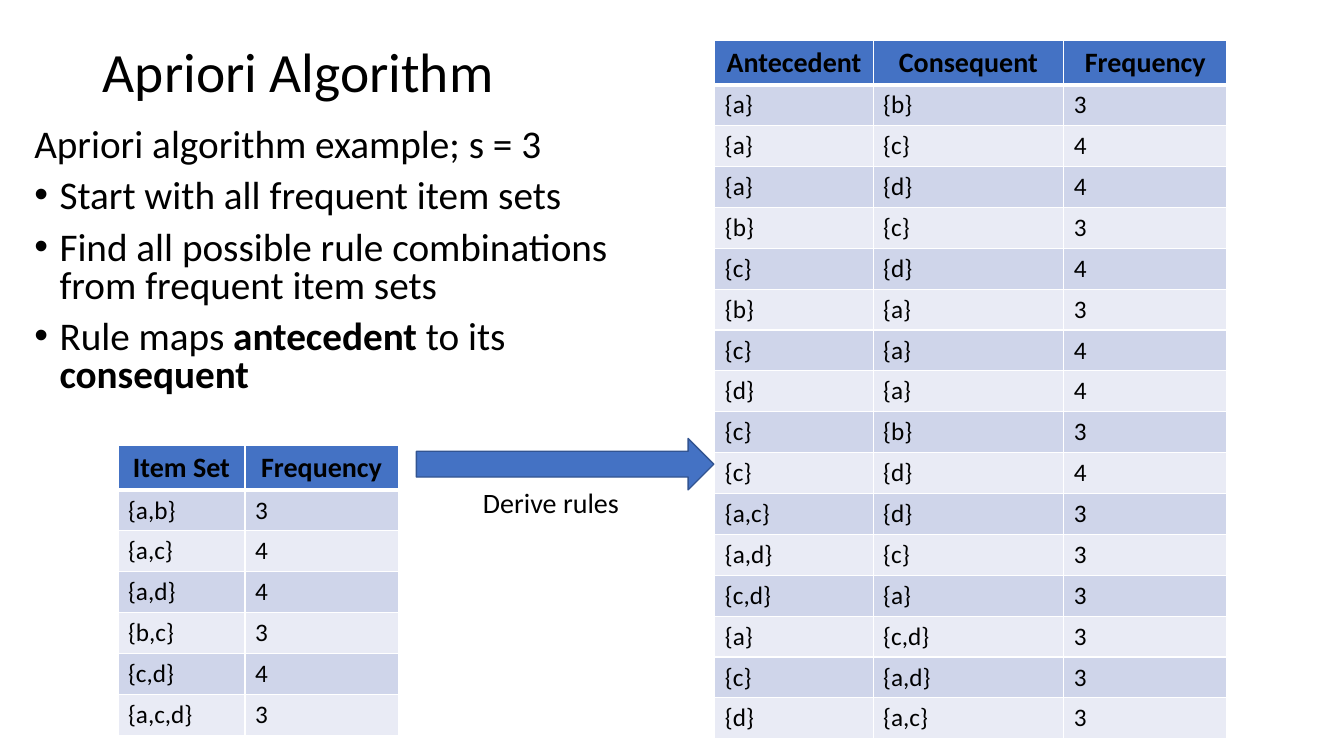
from lxml.etree import SubElement
from pptx import Presentation
from pptx.dml.color import RGBColor
from pptx.enum.shapes import MSO_SHAPE
from pptx.enum.text import MSO_ANCHOR, MSO_AUTO_SIZE, PP_ALIGN
from pptx.oxml.ns import qn
from pptx.util import Inches, Pt

COLORS = {
    "text": "000000",
    "accent": "4472C4",
    "outline": "325491",
    "odd_row": "CFD5EA",
    "even_row": "E9EBF5",
    "border": "FFFFFF",
}
FONT = "Calibri"
HEADER_HEIGHT, ROW_HEIGHT = 0.43, 0.4

BULLETS = [
    [("Start with all frequent item sets", False)],
    [("Find all possible rule combinations from frequent item sets", False)],
    [("Rule maps ", False), ("antecedent", True), (" to its ", False), ("consequent", True)],
]
ITEM_SETS = [
    ("Item Set", "Frequency"),
    ("{a,b}", "3"), ("{a,c}", "4"), ("{a,d}", "4"),
    ("{b,c}", "3"), ("{c,d}", "4"), ("{a,c,d}", "3"),
]
RULES = [
    ("Antecedent", "Consequent", "Frequency"),
    ("{a}", "{b}", "3"), ("{a}", "{c}", "4"), ("{a}", "{d}", "4"), ("{b}", "{c}", "3"),
    ("{c}", "{d}", "4"), ("{b}", "{a}", "3"), ("{c}", "{a}", "4"), ("{d}", "{a}", "4"),
    ("{c}", "{b}", "3"), ("{c}", "{d}", "4"), ("{a,c}", "{d}", "3"), ("{a,d}", "{c}", "3"),
    ("{c,d}", "{a}", "3"), ("{a}", "{c,d}", "3"), ("{c}", "{a,d}", "3"), ("{d}", "{a,c}", "3"),
]


def color(name):
    return RGBColor.from_string(COLORS[name])


def set_attributes(target, values):
    for name, value in values.items():
        setattr(target, name, value)


def place(shape, box):
    names = ("left", "top", "width", "height")
    set_attributes(shape, dict(zip(names, map(Inches, box))))


def add_text(paragraph, text, size, bold=False):
    run = paragraph.add_run()
    run.text = text
    set_attributes(run.font, {"name": FONT, "size": Pt(size), "bold": bold})
    run.font.color.rgb = color("text")


def set_bullet(paragraph, bulleted):
    properties = paragraph._p.get_or_add_pPr()
    indent = Inches(0.25) if bulleted else 0
    properties.set("marL", str(indent))
    properties.set("indent", str(-indent))
    if bulleted:
        SubElement(properties, qn("a:buFont"), typeface="Arial")
        SubElement(properties, qn("a:buChar"), char="•")
    else:
        SubElement(properties, qn("a:buNone"))


def set_borders(cell, widths):
    properties = cell._tc.get_or_add_tcPr()
    for side, width in widths.items():
        line = SubElement(properties, qn(f"a:ln{side}"), w=str(Pt(width)))
        fill = SubElement(line, qn("a:solidFill"))
        SubElement(fill, qn("a:srgbClr"), val=COLORS["border"])


# Title
def fill_title(title, box):
    place(title, box)
    set_attributes(title.text_frame, {
        "vertical_anchor": MSO_ANCHOR.MIDDLE, "auto_size": MSO_AUTO_SIZE.NONE})
    paragraph = title.text_frame.paragraphs[0]
    set_attributes(paragraph, {"alignment": PP_ALIGN.LEFT, "line_spacing": 0.9})
    add_text(paragraph, "Apriori Algorithm", 39.6)


# Introduction and bullets
def fill_body(body, box):
    place(body, box)
    frame = body.text_frame
    frame.auto_size = MSO_AUTO_SIZE.NONE
    lines = [[("Apriori algorithm example; s = 3", False)]] + BULLETS
    for index, parts in enumerate(lines):
        paragraph = frame.add_paragraph() if index else frame.paragraphs[0]
        set_attributes(paragraph, {"line_spacing": 0.8, "space_before": Pt(10)})
        set_bullet(paragraph, index > 0)
        for text, bold in parts:
            add_text(paragraph, text, 28, bold)


# Banded table with a header row
def add_banded_table(slide, left, top, widths, rows):
    height = HEADER_HEIGHT + ROW_HEIGHT * (len(rows) - 1)
    table = slide.shapes.add_table(
        len(rows), len(widths), Inches(left), Inches(top),
        Inches(sum(widths)), Inches(height)).table
    for column, width in zip(table.columns, widths):
        column.width = Inches(width)
    for row_index, values in enumerate(rows):
        header = row_index == 0
        table.rows[row_index].height = Inches(HEADER_HEIGHT if header else ROW_HEIGHT)
        fill_name = "accent" if header else "odd_row" if row_index % 2 else "even_row"
        for column_index, value in enumerate(values):
            cell = table.cell(row_index, column_index)
            set_borders(cell, {"L": 1, "R": 1, "T": 3 if row_index == 1 else 1,
                               "B": 3 if header else 1})
            cell.fill.solid()
            cell.fill.fore_color.rgb = color(fill_name)
            paragraph = cell.text_frame.paragraphs[0]
            paragraph.alignment = PP_ALIGN.CENTER if header else PP_ALIGN.LEFT
            add_text(paragraph, value, 20 if header else 18, header)


# Arrow with its caption below
def add_derivation(slide, left, top, width, height):
    arrow = slide.shapes.add_shape(
        MSO_SHAPE.RIGHT_ARROW, *map(Inches, (left, top, width, height)))
    arrow.shadow.inherit = False
    arrow.fill.solid()
    arrow.fill.fore_color.rgb = color("accent")
    arrow.line.color.rgb = color("outline")
    arrow.line.width = Pt(1)
    caption = slide.shapes.add_textbox(
        *map(Inches, (left + 0.13, top + 0.42, 2.41, 0.44)))
    caption.text_frame.word_wrap = True
    caption.text_frame.auto_size = MSO_AUTO_SIZE.SHAPE_TO_FIT_TEXT
    paragraph = caption.text_frame.paragraphs[0]
    paragraph.alignment = PP_ALIGN.CENTER
    add_text(paragraph, "Derive rules", 20)


def main():
    presentation = Presentation()
    set_attributes(presentation, {"slide_width": Inches(13.33), "slide_height": Inches(7.5)})
    slide = presentation.slides.add_slide(presentation.slide_layouts[1])
    fill_title(slide.shapes.title, (0.92, 0.4, 11.5, 0.68))
    fill_body(slide.placeholders[1], (0.24, 1.22, 6.08, 3.02))
    add_banded_table(slide, 1.17, 4.42, (1.26, 1.52), ITEM_SETS)
    add_banded_table(slide, 7.09, 0.4, (1.57, 1.89, 1.62), RULES)
    add_derivation(slide, 4.13, 4.35, 2.95, 0.51)
    presentation.save("out.pptx")


if __name__ == "__main__":
    main()
